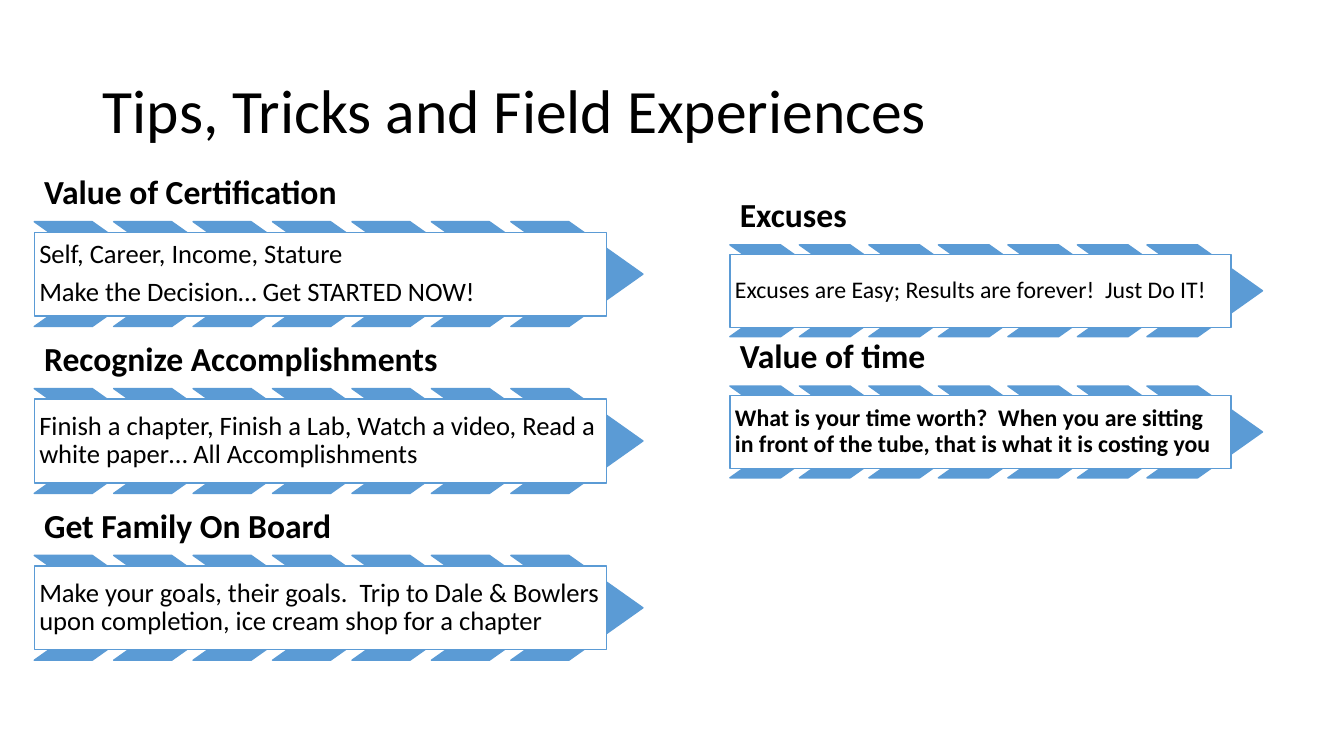
from dataclasses import dataclass

import pptx
import pptx.dml.color
import pptx.enum.shapes
import pptx.enum.text
import pptx.util

ANCHOR = pptx.enum.text.MSO_ANCHOR
SHAPE = pptx.enum.shapes.MSO_SHAPE


@dataclass(frozen=True)
class Theme:
    font: str = "Calibri"
    ink: str = "000000"
    paper: str = "FFFFFF"
    accent: str = "5B9BD5"
    title_size: int = 44
    heading_size: int = 24
    line_spacing: float = 0.9
    space_after: float = 0.35  # share of the type size


@dataclass(frozen=True)
class Tip:
    heading: str
    lines: list
    heading_height: float = 6.8
    bold: bool = False


@dataclass(frozen=True)
class TipColumn:
    """Places are percentages of the slide; scale is relative to the left column."""
    left: float
    top: float
    pitch: float
    scale: float
    body_size: int
    tips: list


COLUMNS = [
    TipColumn(2.55, 29.33, 22.07, 1, 19, [
        Tip("Value of Certification",
            ["Self, Career, Income, Stature", "Make the Decision… Get STARTED NOW!"]),
        Tip("Recognize Accomplishments",
            ["Finish a chapter, Finish a Lab, Watch a video, "
             "Read a white paper… All Accomplishments"]),
        Tip("Get Family On Board",
            ["Make your goals, their goals.  Trip to Dale & Bowlers "
             "upon completion, ice cream shop for a chapter"]),
    ]),
    TipColumn(54.31, 32.4, 18.67, 0.875, 17, [
        Tip("Excuses", ["Excuses are Easy; Results are forever!  Just Do IT!"],
            heading_height=4.8),
        Tip("Value of time",
            ["What is your time worth?  When you are sitting "
             "in front of the tube, that is what it is costing you"],
            heading_height=6, bold=True),
    ]),
]


class TipsPage:
    CHEVRONS = 7
    CHEVRON_PITCH = 5.91
    CHEVRON_WIDTH = 9.83
    CHEVRON_POINT = 0.706
    BAND_HEIGHT = 13.87
    BODY_WIDTH = 42.6
    BODY_HEIGHT = 11.07
    HEADING_WIDTH = 42

    def __init__(self, deck, theme):
        self.deck = deck
        self.theme = theme
        self.page = deck.slides.add_slide(deck.slide_layouts.get_by_name("Title Only"))

    def place(self, left, top, width, height):
        """Turn percentages of the slide into lengths."""
        across, down = self.deck.slide_width / 100, self.deck.slide_height / 100
        return [round(share * unit) for share, unit in
                zip((left, top, width, height), (across, down, across, down))]

    def set_text(self, frame, lines, size, anchor, bold=False, inset=None, space_after=0):
        frame.word_wrap = True
        frame.auto_size = pptx.enum.text.MSO_AUTO_SIZE.NONE
        frame.vertical_anchor = anchor
        if inset is not None:
            margin = pptx.util.Inches(inset)
            frame.margin_left = frame.margin_right = margin
            frame.margin_top = frame.margin_bottom = margin
        frame.text = "\n".join(lines)
        for para in frame.paragraphs:
            para.alignment = pptx.enum.text.PP_ALIGN.LEFT
            para.line_spacing = self.theme.line_spacing
            para.space_before = pptx.util.Pt(0)
            para.space_after = pptx.util.Pt(size * space_after)
            for span in para.runs:
                span.font.name = self.theme.font
                span.font.size = pptx.util.Pt(size)
                span.font.bold = bold
                span.font.color.rgb = pptx.dml.color.RGBColor.from_string(self.theme.ink)

    def title(self, text):
        box = self.page.shapes.title
        box.left, box.top, box.width, box.height = self.place(6.9, 5.33, 86.25, 19.33)
        self.set_text(box.text_frame, [text], self.theme.title_size, ANCHOR.MIDDLE)

    def heading(self, group, text, left, top, width, height):
        box = group.shapes.add_textbox(*self.place(left, top, width, height))
        self.set_text(box.text_frame, [text], self.theme.heading_size, ANCHOR.BOTTOM,
                      bold=True, inset=0.1, space_after=self.theme.space_after)

    def shape(self, group, kind, fill, left, top, width, height):
        shape = group.shapes.add_shape(kind, *self.place(left, top, width, height))
        shape.shadow.inherit = False
        shape.fill.solid()
        shape.fill.fore_color.rgb = pptx.dml.color.RGBColor.from_string(fill)
        shape.line.color.rgb = pptx.dml.color.RGBColor.from_string(self.theme.accent)
        shape.line.width = pptx.util.Pt(1)
        return shape

    def tip(self, group, tip, column, top):
        """Draw a heading, its band of chevrons and the boxed text over the band."""
        scale, left = column.scale, column.left
        self.heading(group, tip.heading, left, top - tip.heading_height,
                     self.HEADING_WIDTH * scale, tip.heading_height)
        for index in range(self.CHEVRONS):
            chevron = self.shape(group, SHAPE.CHEVRON, self.theme.accent,
                                 left + index * self.CHEVRON_PITCH * scale, top,
                                 self.CHEVRON_WIDTH * scale, self.BAND_HEIGHT * scale)
            chevron.adjustments[0] = self.CHEVRON_POINT
        margin = (self.BAND_HEIGHT - self.BODY_HEIGHT) / 2 * scale
        body = self.shape(group, SHAPE.RECTANGLE, self.theme.paper, left, top + margin,
                          self.BODY_WIDTH * scale, self.BODY_HEIGHT * scale)
        self.set_text(body.text_frame, tip.lines, column.body_size, ANCHOR.MIDDLE,
                      bold=tip.bold, inset=0.05, space_after=self.theme.space_after)

    def tip_column(self, column):
        group = self.page.shapes.add_group_shape()
        for row, tip in enumerate(column.tips):
            self.tip(group, tip, column, column.top + row * column.pitch)


def main():
    deck = pptx.Presentation()
    deck.slide_width = pptx.util.Inches(13.33)
    deck.slide_height = pptx.util.Inches(7.5)
    page = TipsPage(deck, Theme())
    page.title("Tips, Tricks and Field Experiences")
    for column in COLUMNS:
        page.tip_column(column)
    deck.save("out.pptx")


if __name__ == "__main__":
    main()
